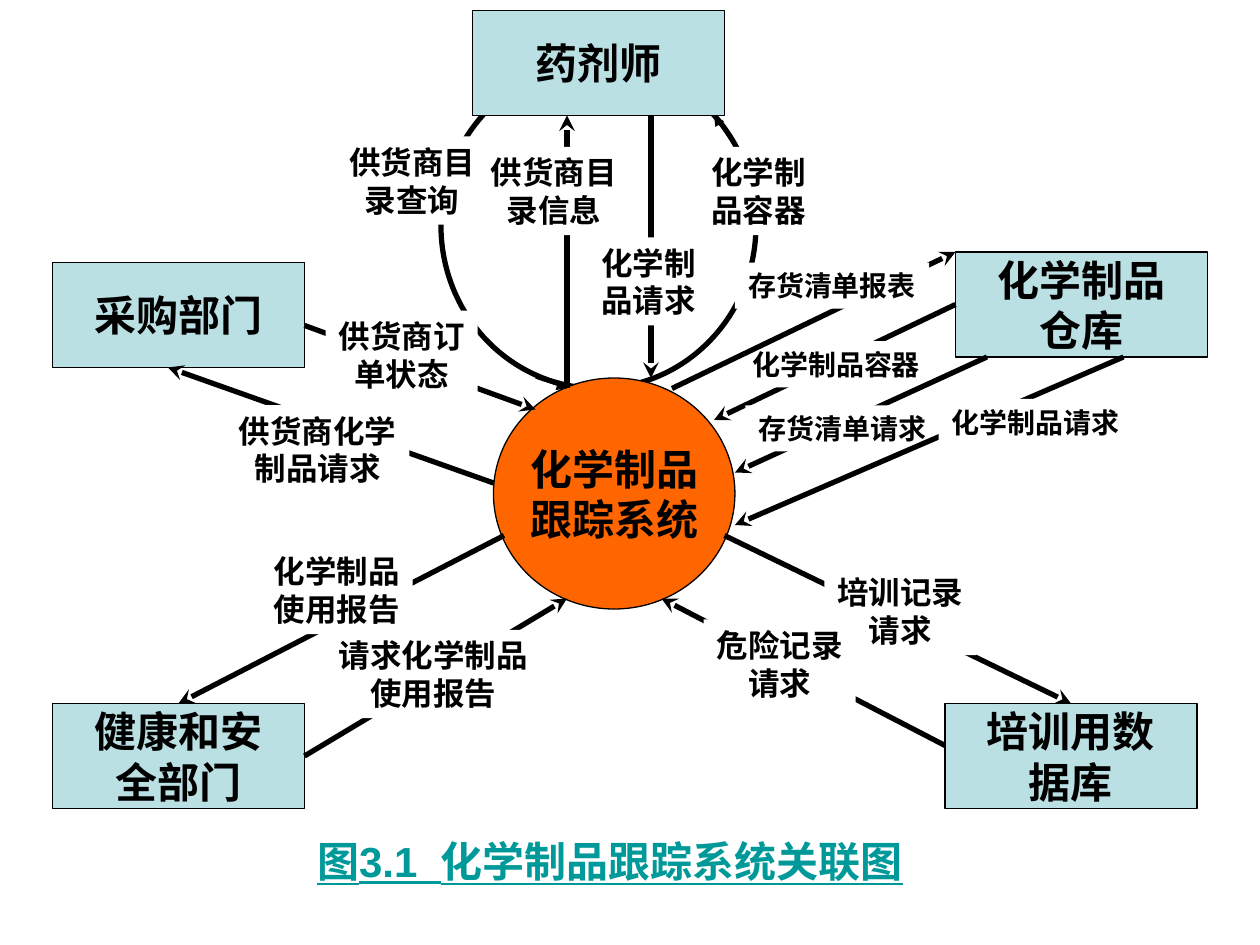
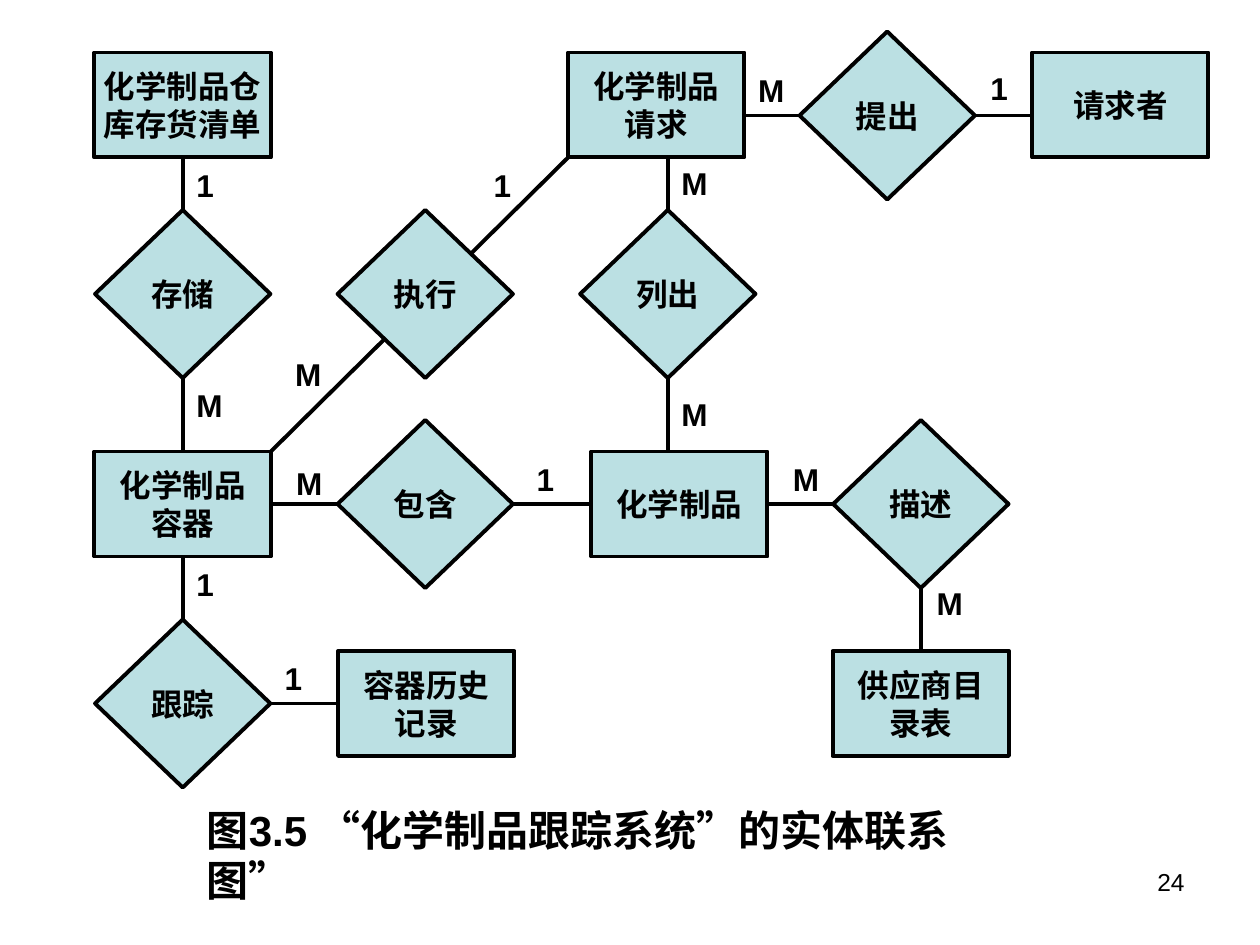
from lxml.etree import SubElement
from pptx import Presentation
from pptx.dml.color import RGBColor
from pptx.enum.lang import MSO_LANGUAGE_ID
from pptx.enum.shapes import MSO_CONNECTOR, MSO_SHAPE
from pptx.enum.text import MSO_ANCHOR, MSO_AUTO_SIZE, PP_ALIGN
from pptx.oxml.ns import qn
from pptx.util import Inches, Pt

BLACK = RGBColor(0x00, 0x00, 0x00)
WHITE = RGBColor(0xFF, 0xFF, 0xFF)
PALE_BLUE = RGBColor(0xBB, 0xE0, 0xE3)
ORANGE = RGBColor(0xFF, 0x66, 0x00)
TEAL = RGBColor(0x00, 0x99, 0x99)
FONT = "Arial"

prs = Presentation()
prs.slide_width, prs.slide_height = Inches(10), Inches(7.5)
COL = prs.slide_width / 120
ROW = prs.slide_height / 90


def add_block(slide, kind, x, y, w, h, text="", size=18, fill=None, line=None,
              bold=True, align=PP_ALIGN.CENTER):
    """Add a shape placed in grid cells; fill and line (points) may be None."""
    sp = slide.shapes.add_shape(kind, int(x * COL), int(y * ROW), int(w * COL), int(h * ROW))
    sp.shadow.inherit = False
    if fill is None:
        sp.fill.background()
    else:
        sp.fill.solid()
        sp.fill.fore_color.rgb = fill
    if line is None:
        sp.line.fill.background()
    else:
        sp.line.color.rgb = BLACK
        sp.line.width = Pt(line)
    tf = sp.text_frame
    tf.word_wrap = False
    tf.vertical_anchor = MSO_ANCHOR.MIDDLE
    tf.text = text
    for p in tf.paragraphs:
        p.alignment = align
        for r in p.runs:
            r.font.name, r.font.size, r.font.bold = FONT, Pt(size), bold
            r.font.color.rgb = BLACK


def add_line(slide, x1, y1, x2, y2, width, head=None):
    cx = slide.shapes.add_connector(MSO_CONNECTOR.STRAIGHT, int(x1 * COL), int(y1 * ROW),
                                    int(x2 * COL), int(y2 * ROW))
    cx.line.color.rgb = BLACK
    cx.line.width = Pt(width)
    if head:
        SubElement(cx.line._get_or_add_ln(), qn("a:tailEnd"), type=head)
    SubElement(cx._element.spPr, qn("a:effectLst"))


# Captions: text, left, top, width, colour, underline
captions = [
    ("图3.1  化学制品跟踪系统关联图", 29, 79, 58.2, TEAL, True),
    ("图3.5 “化学制品跟踪系统”的实体联系图”", 18.5, 76, 80.9, BLACK, False),
]
slides = []
for text, x, y, w, color, underline in captions:
    slide = prs.slides.add_slide(prs.slide_layouts[5])
    title = slide.shapes.title
    title.left, title.top = int(x * COL), int(y * ROW)
    title.width, title.height = int(w * COL), int(6 * ROW)
    tf = title.text_frame
    tf.text = text
    tf.word_wrap = True
    tf.auto_size = MSO_AUTO_SIZE.NONE
    tf.vertical_anchor = MSO_ANCHOR.TOP
    p = tf.paragraphs[0]
    p.alignment = PP_ALIGN.LEFT
    font = p.runs[0].font
    font.name, font.size, font.bold, font.underline = FONT, Pt(24), True, underline
    font.color.rgb = color
    font.language_id = MSO_LANGUAGE_ID.SIMPLIFIED_CHINESE
    slides.append(slide)
context, entities = slides

# Context diagram: the loop behind, the outside parties, the system
add_block(context, MSO_SHAPE.OVAL, 42, 6, 30, 31, line=3)
parties = [
    (45, 1, "药剂师"),
    (91, 24, "化学制品\n仓库"),
    (5, 25, "采购部门"),
    (5, 67, "健康和安\n全部门"),
    (90, 67, "培训用数\n据库"),
]
for x, y, text in parties:
    add_block(context, MSO_SHAPE.RECTANGLE, x, y, 24, 10, text, 24, PALE_BLUE, 0.75)
add_block(context, MSO_SHAPE.OVAL, 47, 36, 23, 22, "化学制品\n跟踪系统", 24, ORANGE, 0.75)

# Flows: arrow from and to, label left and top, label size, label
flows = [
    (48, 51, 17, 67, 24.8, 52, 18, "化学制品\n使用报告"),
    (29, 72, 54, 57, 31, 60, 18, "请求化学制品\n使用报告"),
    (69, 51, 102, 67, 78.5, 54, 18, "培训记录\n请求"),
    (90, 71, 63, 57, 67, 59, 18, "危险记录\n请求"),
    (47, 46, 16, 35, 21.5, 38.6, 18, "供货商化学\n制品请求"),
    (29, 31, 51, 39, 31, 29.6, 18, "供货商订\n单状态"),
    (91, 29, 68, 40, 70.4, 32.5, 16, "化学制品容器"),
    (64, 37, 91, 24, 70, 25, 16, "存货清单报表"),
    (94, 34, 70, 45, 71, 38.6, 16, "存货清单请求"),
    (107, 34, 70, 50, 89.4, 38, 16, "化学制品请求"),
    (51, 36, 54, 37, 32, 13, 18, "供货商目\n录查询"),
    (54, 37, 54, 11, 45.5, 14, 18, "供货商目\n录信息"),
    (62, 11, 62, 36, 56, 22.6, 18, "化学制\n品请求"),
    (70, 14, 68, 11, 66.5, 14, 18, "化学制\n品容器"),
]
for x1, y1, x2, y2, x, y, size, text in flows:
    is_loop_tip = abs(x2 - x1) + abs(y2 - y1) < 6
    add_line(context, x1, y1, x2, y2, 0.75 if is_loop_tip else 3,
             "triangle" if is_loop_tip else "stealth")
    lines = text.split("\n")
    w = max(map(len, lines)) * size / 6 + 2.5
    h = len(lines) * size / 5 + 1.2
    add_block(context, MSO_SHAPE.RECTANGLE, x, y, w, h, text, size, WHITE)

# Entity diagram: links lie under the nodes
links = [
    (70.9, 11, 98.3, 11),
    (63.6, 15, 63.6, 43),
    (17.4, 15, 17.4, 59),
    (25.8, 48, 79.3, 48),
    (54.1, 15, 25.8, 43),
    (25.8, 67, 32.2, 67),
    (87.7, 56, 87.7, 62),
]
for link in links:
    add_line(entities, *link, 2.25)

# Nodes by kind: size, then centre and text of each
node_groups = [
    (MSO_SHAPE.RECTANGLE, 16.8, 10, [
        (17.4, 10, "化学制品仓\n库存货清单"),
        (62.5, 10, "化学制品\n请求"),
        (106.7, 10, "请求者"),
        (17.4, 48, "化学制品\n容器"),
        (64.7, 48, "化学制品"),
        (40.6, 67, "容器历史\n记录"),
        (87.7, 67, "供应商目\n录表"),
    ]),
    (MSO_SHAPE.DIAMOND, 16.7, 16, [
        (84.5, 11, "提出"),
        (17.4, 28, "存储"),
        (40.5, 28, "执行"),
        (63.6, 28, "列出"),
        (40.5, 48, "包含"),
        (87.7, 48, "描述"),
        (17.4, 67, "跟踪"),
    ]),
]
for kind, w, h, nodes in node_groups:
    for cx, cy, text in nodes:
        add_block(entities, kind, cx - w / 2, cy - h / 2, w, h, text, 18, PALE_BLUE, 2.25)

# Cardinalities: mark, width, places
cardinalities = [
    ("M", 4.9, [(71, 6.2), (63.7, 15), (26.9, 33.2), (17.5, 36.2),
                (27, 43.6), (63.7, 37), (74.3, 43.2), (88, 55)]),
    ("1", 4.1, [(93.1, 6), (49.9, 43.2), (45.8, 15.2), (17.5, 15.2),
                (17.5, 53.2), (25.9, 62.2)]),
]
for mark, w, places in cardinalities:
    for x, y in places:
        add_block(entities, MSO_SHAPE.RECTANGLE, x, y, w, 4.8, mark)

add_block(entities, MSO_SHAPE.RECTANGLE, 86, 82, 28, 4, "24", 14,
          bold=False, align=PP_ALIGN.RIGHT)

prs.save("out.pptx")
